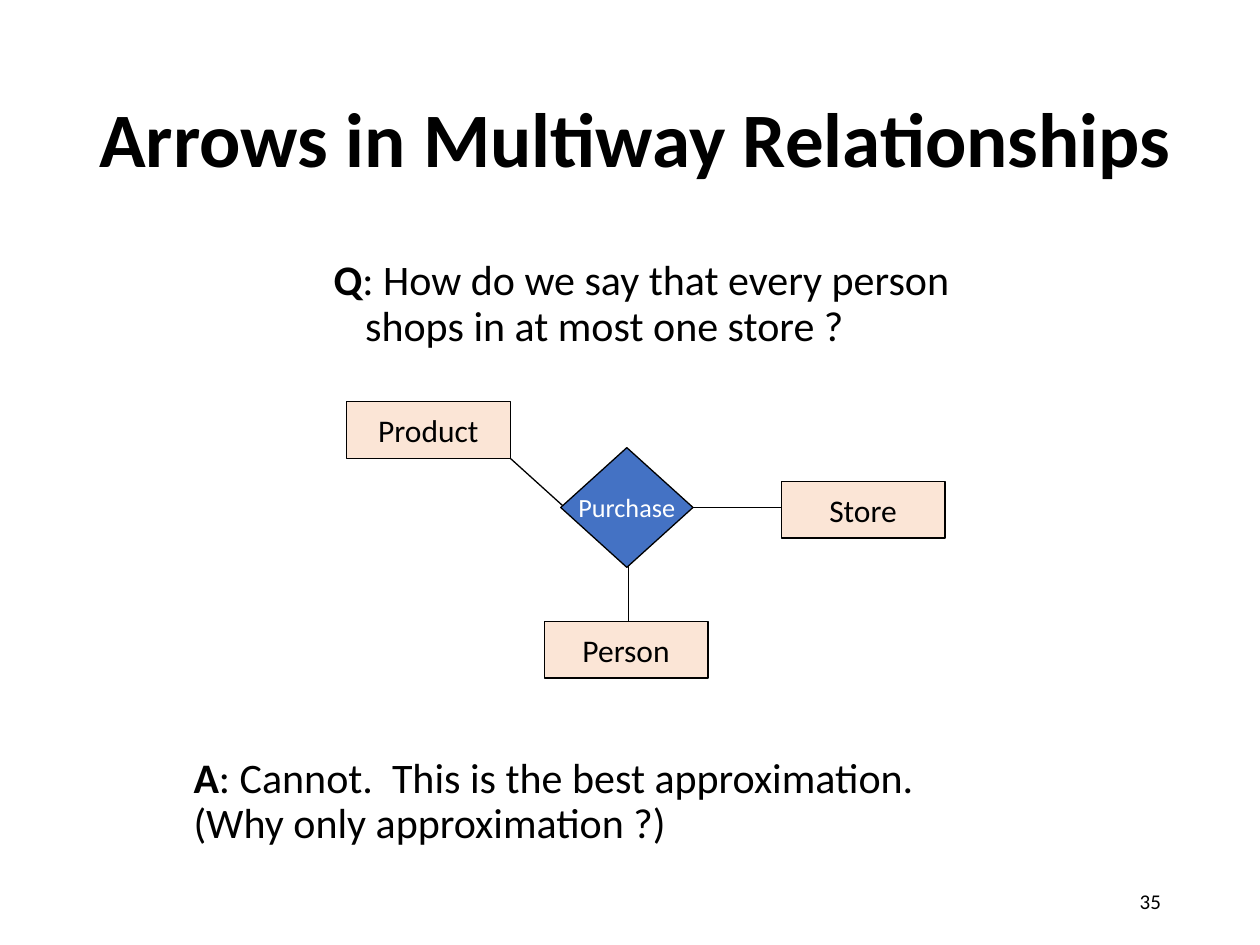
from pptx import Presentation
from pptx.dml.color import RGBColor
from pptx.enum.shapes import MSO_CONNECTOR, MSO_SHAPE
from pptx.enum.text import MSO_ANCHOR, MSO_AUTO_SIZE, PP_ALIGN
from pptx.oxml.ns import qn
from pptx.util import Pt
from lxml.etree import SubElement

COLORS = {"ink": "000000", "box": "FBE5D6", "gem": "4472C4", "paper": "FFFFFF"}
MID, TOP = MSO_ANCHOR.MIDDLE, MSO_ANCHOR.TOP
LEFT, MIDDLE, RIGHT = PP_ALIGN.LEFT, PP_ALIGN.CENTER, PP_ALIGN.RIGHT


def apply(target, values):
    for name, value in values.items():
        setattr(target, name, value)


class Deck:
    font = "Calibri"
    line = Pt(0.75)

    def __init__(self, wide, high):
        self.show = Presentation()
        apply(self.show, {"slide_width": Pt(wide), "slide_height": Pt(high)})
        self.slide = self.show.slides.add_slide(self.show.slide_layouts[5])

    def color(self, name):
        return RGBColor.from_string(COLORS[name])

    def label(self, shape, lines, size, ink="ink", align=LEFT, anchor=MID,
              wrap=True, space=1.0, hang=0):
        """Each line is a list of (text, bold) runs, parted by line breaks."""
        frame = shape.text_frame
        apply(frame, {"auto_size": MSO_AUTO_SIZE.NONE, "word_wrap": wrap,
                      "vertical_anchor": anchor})
        para = frame.paragraphs[0]
        apply(para, {"alignment": align, "line_spacing": space})
        if hang:
            props = para._p.get_or_add_pPr()
            props.set("marL", str(Pt(hang)))
            props.set("indent", str(-Pt(hang)))
        for i, line in enumerate(lines):
            if i:
                para.add_line_break()
            for text, bold in line:
                run = para.add_run()
                run.text = text
                apply(run.font, {"name": self.font, "size": Pt(size), "bold": bold})
                run.font.color.rgb = self.color(ink)

    def title(self, text, x, y, w, h):
        shape = self.slide.shapes.title
        apply(shape, {"left": Pt(x), "top": Pt(y), "width": Pt(w), "height": Pt(h)})
        self.label(shape, [[(text, True)]], 44, space=0.9)

    def text(self, lines, x, y, w, h, size, **style):
        shape = self.slide.shapes.add_textbox(Pt(x), Pt(y), Pt(w), Pt(h))
        self.label(shape, lines, size, **style)

    def node(self, kind, text, x, y, w, h, size, fill, ink="ink"):
        shape = self.slide.shapes.add_shape(kind, Pt(x), Pt(y), Pt(w), Pt(h))
        shape.shadow.inherit = False
        shape.fill.solid()
        shape.fill.fore_color.rgb = self.color(fill)
        shape.line.color.rgb = self.color("ink")
        shape.line.width = self.line
        self.label(shape, [[(text, False)]], size, ink, MIDDLE, wrap=False)

    def link(self, x1, y1, x2, y2):
        link = self.slide.shapes.add_connector(
            MSO_CONNECTOR.STRAIGHT, Pt(x1), Pt(y1), Pt(x2), Pt(y2))
        link.line.color.rgb = self.color("ink")
        link.line.width = self.line
        SubElement(link._element.spPr, qn("a:effectLst"))


def main():
    deck = Deck(720, 540)

    # Title and page number
    deck.title("Arrows in Multiway Relationships", 49.5, 29, 670.5, 104.4)
    deck.text([[("35", False)]], 508.5, 500.5, 162, 28.75, 12, align=RIGHT)

    # Question and answer
    deck.text([[("Q", True),
                (": How do we say that every person shops in at most one store ?", False)]],
              183.6, 144.7, 381.6, 59.8, 24, anchor=TOP, space=0.9, hang=18)
    deck.text([[("A", True), (": Cannot.  This is the best approximation.", False)],
               [("(Why only approximation ?)", False)]],
              103.5, 429, 430, 59.8, 24, anchor=TOP, wrap=False, space=0.9)

    # Entities
    wide, high = 93.6, 32.4
    for name, x, y in (("Product", 198, 229.5), ("Person", 311, 355),
                       ("Store", 446.4, 275)):
        deck.node(MSO_SHAPE.RECTANGLE, name, x, y, wide, high, 18, "box")

    # Links from the relationship to its entities
    for ends in ((391.7, 290.2, 446.4, 290.2), (359.3, 323.3, 359.3, 355),
                 (291.6, 261.9, 326.9, 293.8)):
        deck.link(*ends)

    # Relationship
    deck.node(MSO_SHAPE.DIAMOND, "Purchase", 320.4, 255.8, 75.6, 68.4, 15,
              "gem", "paper")

    deck.show.save("out.pptx")


if __name__ == "__main__":
    main()
